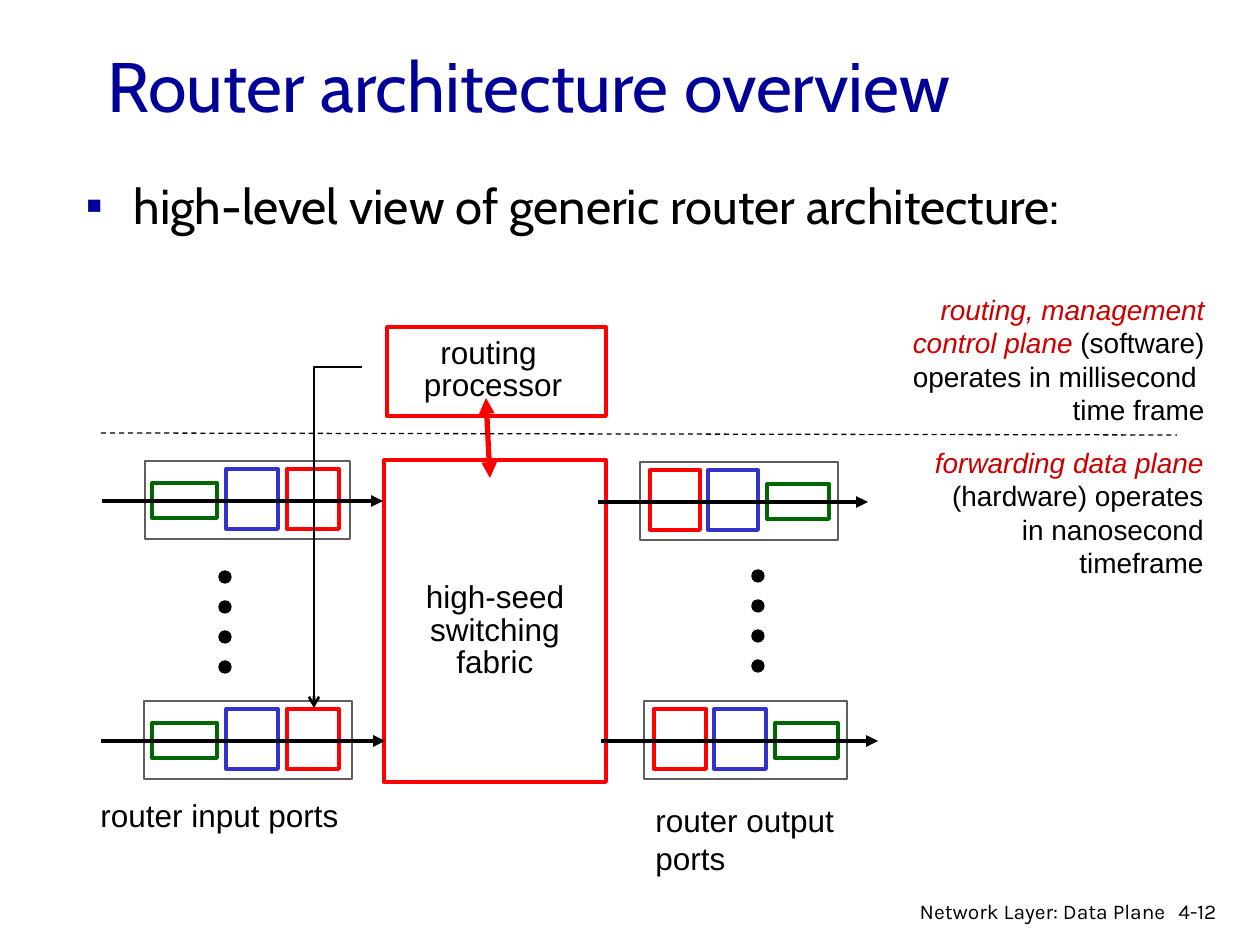
from dataclasses import dataclass

from lxml.etree import SubElement
from pptx import Presentation
from pptx.dml.color import RGBColor
from pptx.enum.dml import MSO_LINE
from pptx.enum.shapes import MSO_CONNECTOR, MSO_SHAPE
from pptx.enum.text import MSO_ANCHOR, MSO_AUTO_SIZE, PP_ALIGN
from pptx.oxml.ns import qn
from pptx.util import Emu, Inches, Pt

BLACK, WHITE, GRAY = "000000", "FFFFFF", "5F5F5F"
RED, GREEN, BLUE = "FF0000", "006600", "3333CC"
NAVY, CRIMSON = "000099", "CC0000"


@dataclass(frozen=True)
class Run:
    text: str
    color: str = BLACK
    italic: bool = False


@dataclass(frozen=True)
class Label:
    left: int
    top: int
    width: int
    height: int
    paragraphs: list[list[Run]]
    size: int = 18
    font: str = "Arial"
    align: PP_ALIGN = PP_ALIGN.LEFT
    spacing: float = 1.0
    wrap: bool = False


@dataclass(frozen=True)
class Port:
    left: int
    top: int
    width: int
    green_left: int
    blue_left: int
    red_left: int
    green_width: int
    tall_width: int
    arrow_start: int
    arrow_end: int


PORTS = [
    Port(145, 461, 205, 152, 226, 287, 65, 52, 102, 383),
    Port(144, 701, 208, 152, 226, 287, 65, 52, 101, 385),
    Port(640, 462, 198, 767, 708, 650, 62, 50, 598, 868),
    Port(644, 701, 203, 775, 714, 654, 63, 52, 601, 878),
]

LABELS = [
    Label(410, 577, 170, 111,
          [[Run("high-seed ")], [Run("switching")], [Run("fabric")]],
          align=PP_ALIGN.CENTER, spacing=0.85),
    Label(411, 333, 164, 77, [[Run("routing ")], [Run("processor")]],
          align=PP_ALIGN.CENTER, spacing=0.85),
    Label(88, 790, 263, 50, [[Run("router input ports")]]),
    Label(643, 795, 282, 50, [[Run("router output ports")]]),
    Label(915, 439, 301, 149,
          [[Run("forwarding data plane ", CRIMSON, True),
            Run("(hardware) operates in nanosecond timeframe")]],
          size=16, align=PP_ALIGN.RIGHT, wrap=True),
    Label(820, 286, 397, 149,
          [[Run("routing, management", CRIMSON, True)],
           [Run("control plane ", CRIMSON, True), Run("(software)")],
           [Run("operates in millisecond ")],
           [Run("time frame")]],
          size=16, align=PP_ALIGN.RIGHT, wrap=True),
    Label(1166, 892, 77, 38, [[Run("4-12")]], size=12, font="Karla", wrap=True),
    Label(878, 892, 300, 33, [[Run("Network Layer: Data Plane")]],
          size=12, font="Karla", align=PP_ALIGN.RIGHT, wrap=True),
]


def px(value: int) -> Emu:
    """Turn pixels into EMU."""
    return Emu(round(value * 914400 / 126))


def rgb(color: str) -> RGBColor:
    """Turn a hex string into a colour."""
    return RGBColor.from_string(color)


def add_run(paragraph, run: Run, size: int, font: str) -> None:
    """Add one formatted run to a paragraph."""
    text_run = paragraph.add_run()
    text_run.text = run.text
    text_run.font.size = Pt(size)
    text_run.font.name = font
    text_run.font.italic = run.italic
    text_run.font.color.rgb = rgb(run.color)


def add_label(slide, label: Label) -> None:
    """Add a text box holding the label's paragraphs."""
    shape = slide.shapes.add_textbox(
        px(label.left), px(label.top), px(label.width), px(label.height))
    frame = shape.text_frame
    frame.word_wrap = label.wrap
    for index, runs in enumerate(label.paragraphs):
        paragraph = frame.add_paragraph() if index else frame.paragraphs[0]
        paragraph.alignment = label.align
        paragraph.line_spacing = label.spacing
        for run in runs:
            add_run(paragraph, run, label.size, label.font)


def add_figure(slide, left: int, top: int, width: int, height: int, line: str,
               weight: float = 2.25, fill: str = WHITE, kind=MSO_SHAPE.RECTANGLE) -> None:
    """Add a filled and outlined preset shape."""
    shape = slide.shapes.add_shape(kind, px(left), px(top), px(width), px(height))
    shape.shadow.inherit = False
    shape.fill.solid()
    shape.fill.fore_color.rgb = rgb(fill)
    shape.line.color.rgb = rgb(line)
    shape.line.width = Pt(weight)


def add_line(slide, start: tuple[int, int], end: tuple[int, int], weight: float,
             color: str = BLACK, head: str = "", tail: str = "",
             kind=MSO_CONNECTOR.STRAIGHT):
    """Add a connector with optional arrowheads and return it."""
    connector = slide.shapes.add_connector(kind, *map(px, start + end))
    connector.line.color.rgb = rgb(color)
    connector.line.width = Pt(weight)
    outline = connector.line._get_or_add_ln()
    for tag, arrow in (("a:headEnd", head), ("a:tailEnd", tail)):
        if arrow:
            SubElement(outline, qn(tag), type=arrow)
    SubElement(connector._element.spPr, qn("a:effectLst"))
    return connector


def add_port(slide, port: Port) -> None:
    """Add a port frame, its three stages and the arrow through them."""
    add_figure(slide, port.left, port.top, port.width, 78, GRAY, 1.5)
    add_figure(slide, port.green_left, port.top + 22, port.green_width, 35, GREEN)
    add_figure(slide, port.blue_left, port.top + 8, port.tall_width, 60, BLUE)
    add_figure(slide, port.red_left, port.top + 8, port.tall_width, 60, RED)
    axis = port.top + 40
    add_line(slide, (port.arrow_start, axis), (port.arrow_end, axis), 2.25, tail="triangle")


def add_dots(slide, left: int, top: int) -> None:
    """Add a column of four dots."""
    for index in range(4):
        add_figure(slide, left, top + 30 * index, 12, 12, BLACK, 0.75, BLACK, MSO_SHAPE.OVAL)


def fill_placeholder(shape, box: tuple[int, int, int, int], run: Run, size: int):
    """Place and fill a placeholder, returning its paragraph."""
    shape.left, shape.top, shape.width, shape.height = map(px, box)
    shape.text_frame.auto_size = MSO_AUTO_SIZE.NONE
    paragraph = shape.text_frame.paragraphs[0]
    paragraph.alignment = PP_ALIGN.LEFT
    add_run(paragraph, run, size, "Cabin")
    return paragraph


def add_bullet(paragraph) -> None:
    """Give a paragraph a navy square bullet with a hanging indent."""
    paragraph.line_spacing = 0.85
    paragraph.space_before = Pt(5.6)
    properties = paragraph._p.get_or_add_pPr()
    properties.set("marL", str(Inches(0.38)))
    properties.set("indent", str(-Inches(0.38)))
    SubElement(SubElement(properties, qn("a:buClr")), qn("a:srgbClr"), val=NAVY)
    SubElement(properties, qn("a:buFont"), typeface="Arial")
    SubElement(properties, qn("a:buChar"), char="▪")


def main() -> None:
    """Build the router architecture slide."""
    presentation = Presentation()
    presentation.slide_width, presentation.slide_height = px(1260), px(945)
    slide = presentation.slides.add_slide(presentation.slide_layouts[1])
    title, body = slide.shapes.title, slide.placeholders[1]
    fill_placeholder(title, (95, 42, 1071, 84), Run("Router architecture overview", NAVY), 40)
    title.text_frame.vertical_anchor = MSO_ANCHOR.MIDDLE
    add_bullet(fill_placeholder(
        body, (73, 178, 1071, 81), Run("high-level view of generic router architecture:"), 28))

    add_figure(slide, 384, 460, 222, 322, RED)
    add_figure(slide, 387, 327, 219, 89, RED)
    for port in PORTS:
        add_port(slide, port)
    add_dots(slide, 219, 571)
    add_dots(slide, 752, 570)
    for label in LABELS:
        add_label(slide, label)
    add_line(slide, (486, 398), (490, 478), 3, RED, "triangle", "triangle")
    divider = add_line(slide, (101, 433), (1177, 435), 0.75)
    divider.line.dash_style = MSO_LINE.DASH
    elbow = add_line(slide, (362, 367), (314, 708), 1.5, tail="arrow", kind=MSO_CONNECTOR.ELBOW)
    elbow._element.spPr.prstGeom.set("prst", "bentConnector2")
    presentation.save("out.pptx")


if __name__ == "__main__":
    main()
